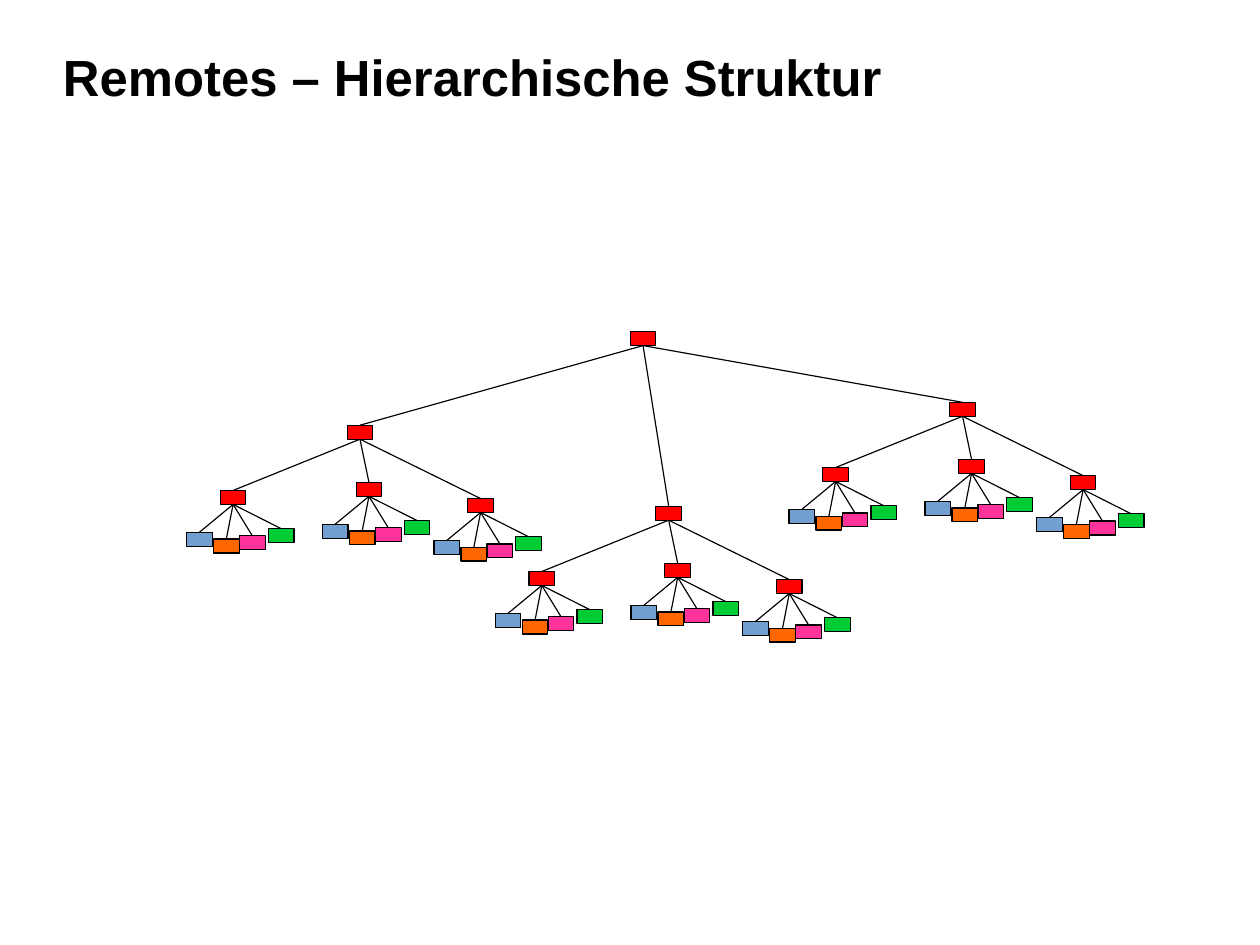
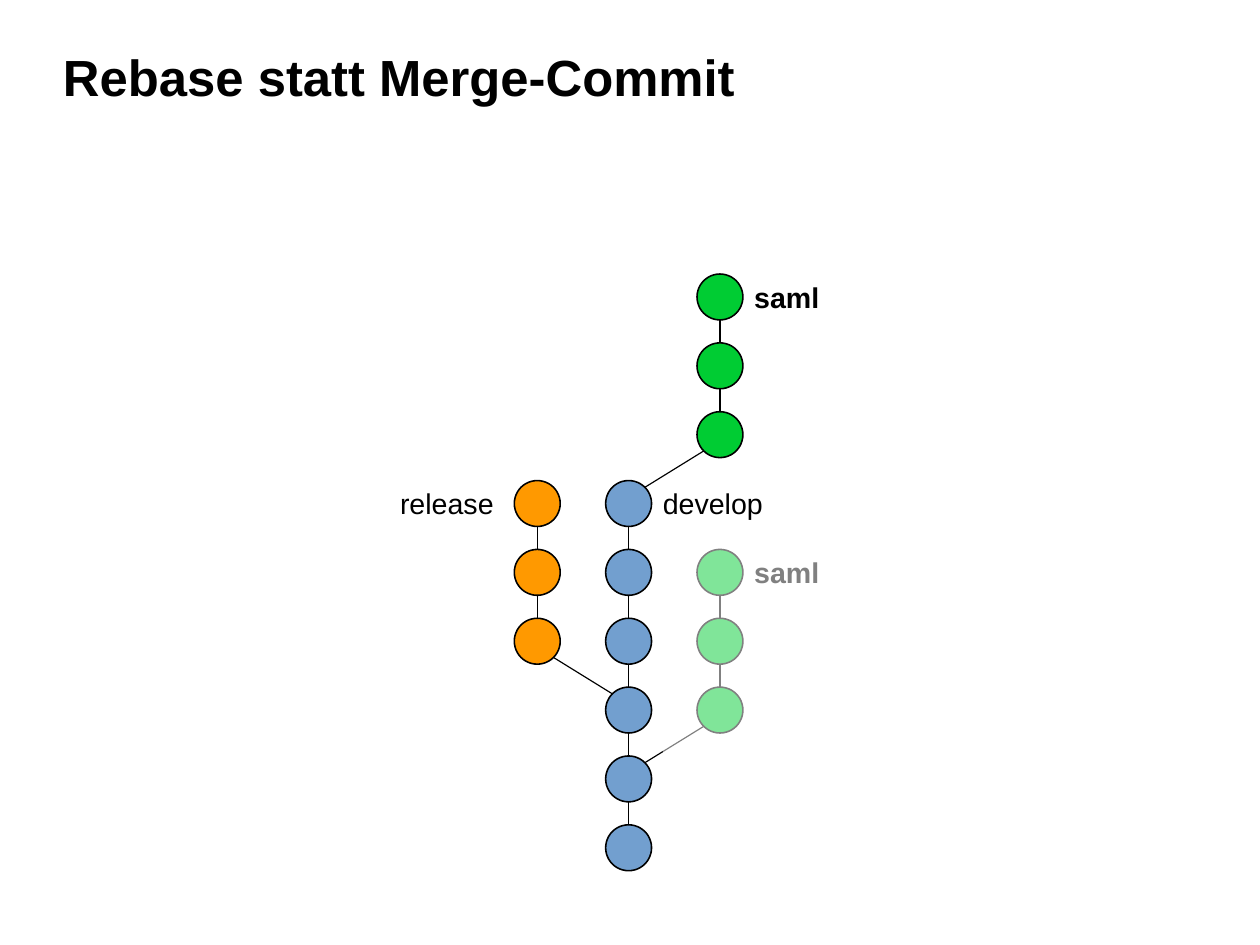
from lxml import etree
from pptx import Presentation
from pptx.dml.color import RGBColor
from pptx.enum.shapes import MSO_CONNECTOR, MSO_SHAPE
from pptx.enum.text import MSO_ANCHOR, MSO_AUTO_SIZE, PP_ALIGN
from pptx.oxml.ns import qn
from pptx.util import Cm, Pt

RECTANGLE = MSO_SHAPE.RECTANGLE
CIRCLE = MSO_SHAPE.OVAL
STRAIGHT = MSO_CONNECTOR.STRAIGHT
MIDDLE = MSO_ANCHOR.MIDDLE
NO_AUTOFIT = MSO_AUTO_SIZE.NONE
LEFT = PP_ALIGN.LEFT
TITLE_ONLY = 5

BLACK, WHITE = "000000", "FFFFFF"
RED, BLUE, GREEN = "FF0000", "729FCF", "00CC33"
DARK_ORANGE, PINK, ORANGE = "FF6600", "FF3399", "FF9900"

TITLE_FONT = {"name": "Arial", "size": Pt(32), "bold": True}
LABEL_FONT = {"name": "Arial", "size": Pt(18), "bold": False}
TITLE_FRAME = {
    "margin_left": 0, "margin_right": 0, "margin_top": 0, "margin_bottom": 0,
    "vertical_anchor": MIDDLE, "auto_size": NO_AUTOFIT, "word_wrap": True,
}
TITLE_PLACE = {"left": Cm(1.4), "top": Cm(0.84), "width": Cm(25.2), "height": Cm(1.7)}

REMOTE_WIDTH, REMOTE_HEIGHT = 0.57, 0.31
ROOT = (14.29, 7.37)
TREE_LEVELS = [
    [(-6.29, 2.08, RED), (0.57, 3.88, RED), (7.1, 1.57, RED)],
    [(-2.82, 1.45, RED), (0.2, 1.27, RED), (2.68, 1.63, RED)],
    [(-0.75, 0.93, BLUE), (1.07, 0.85, GREEN),
     (-0.15, 1.08, DARK_ORANGE), (0.43, 1.01, PINK)],
]

COMMIT_SIZE = 1.02
RADIUS = COMMIT_SIZE / 2
DIAGONAL = 0.36
COLUMN_START, COLUMN_STEP = 11.94, 2.03
ROW_START, ROW_STEP = 6.6, 1.53
LABEL_WIDTH = 3.05
BRANCHES = [
    (BLUE, 1, 3, 8, 0.5),
    (ORANGE, 0, 3, 5, 0.75),
    (GREEN, 2, 4, 6, 0.75),
    (GREEN, 2, 0, 2, 0.75),
]
FORKS = [((0, 5), (1, 6)), ((2, 6), (1, 7)), ((2, 2), (1, 3))]
LABELS = [
    ("develop", 1, 3, RADIUS, False),
    ("release", 0, 3, -3.3, False),
    ("saml", 2, 4, RADIUS, True),
    ("saml", 2, 0, RADIUS, True),
]


def colour(value):
    return RGBColor.from_string(value)


def apply(target, values):
    for name, value in values.items():
        setattr(target, name, value)


def write(frame, text, font):
    para = frame.paragraphs[0]
    para.alignment = LEFT
    span = para.add_run()
    span.text = text
    apply(span.font, font)
    span.font.color.rgb = colour(BLACK)


def add_page(deck, title):
    page = deck.slides.add_slide(deck.slide_layouts[TITLE_ONLY])
    heading = page.shapes.title
    apply(heading, TITLE_PLACE)
    apply(heading.text_frame, TITLE_FRAME)
    write(heading.text_frame, title, TITLE_FONT)
    return page


def add_figure(page, kind, left, top, width, height, fill):
    figure = page.shapes.add_shape(kind, Cm(left), Cm(top), Cm(width), Cm(height))
    figure.shadow.inherit = False
    figure.fill.solid()
    figure.fill.fore_color.rgb = colour(fill)
    return figure


def outline(figure, weight):
    figure.line.color.rgb = colour(BLACK)
    figure.line.width = Pt(weight)


def add_line(page, start, end, weight=0.75):
    line = page.shapes.add_connector(STRAIGHT, *(Cm(value) for value in (*start, *end)))
    outline(line, weight)
    etree.SubElement(line._element.spPr, qn("a:effectLst"))


def add_label(page, text, left, top, bold):
    box = page.shapes.add_textbox(Cm(left), Cm(top), Cm(LABEL_WIDTH), Cm(COMMIT_SIZE))
    box.text_frame.word_wrap = True
    write(box.text_frame, text, {**LABEL_FONT, "bold": bold})


def add_remote(page, x, y, fill, levels):
    if levels:
        for across, down, child_fill in levels[0]:
            child = (x + across, y + down)
            add_line(page, (x, y + REMOTE_HEIGHT), child)
            add_remote(page, *child, child_fill, levels[1:])
    remote = add_figure(page, RECTANGLE, x - REMOTE_WIDTH / 2, y,
                        REMOTE_WIDTH, REMOTE_HEIGHT, fill)
    outline(remote, 0.75)


def commit_centre(column, row):
    return COLUMN_START + column * COLUMN_STEP, ROW_START + row * ROW_STEP


def add_branch(page, fill, column, first, last, weight):
    for row in range(first, last + 1):
        x, y = commit_centre(column, row)
        commit = add_figure(page, CIRCLE, x - RADIUS, y - RADIUS,
                            COMMIT_SIZE, COMMIT_SIZE, fill)
        outline(commit, 1)
        if row < last:
            add_line(page, (x, y + RADIUS), (x, y + ROW_STEP - RADIUS), weight)


def add_fork(page, branch_commit, base_commit):
    x, y = commit_centre(*branch_commit)
    base_x, base_y = commit_centre(*base_commit)
    inward = DIAGONAL if base_x > x else -DIAGONAL
    add_line(page, (x + inward, y + DIAGONAL), (base_x - inward, base_y - DIAGONAL))


def add_veil(page, left, top, width, height):
    veil = add_figure(page, RECTANGLE, left, top, width, height, WHITE)
    veil.line.fill.background()
    tone = veil._element.spPr.find(qn("a:solidFill")).find(qn("a:srgbClr"))
    etree.SubElement(tone, qn("a:alpha"), val="50000")


def build_remotes(deck):
    page = add_page(deck, "Remotes – Hierarchische Struktur")
    add_remote(page, *ROOT, RED, TREE_LEVELS)


def build_rebase(deck):
    page = add_page(deck, "Rebase statt Merge-Commit")
    for branch in BRANCHES:
        add_branch(page, *branch)
    for fork in FORKS:
        add_fork(page, *fork)
    for text, column, row, shift, bold in LABELS:
        x, y = commit_centre(column, row)
        add_label(page, text, x + shift, y - RADIUS, bold)
    add_veil(page, 14.73, 11.68, 4.57, 5.08)


def main():
    deck = Presentation()
    deck.slide_width, deck.slide_height = Cm(28), Cm(21)
    build_remotes(deck)
    build_rebase(deck)
    deck.save("out.pptx")


main()
